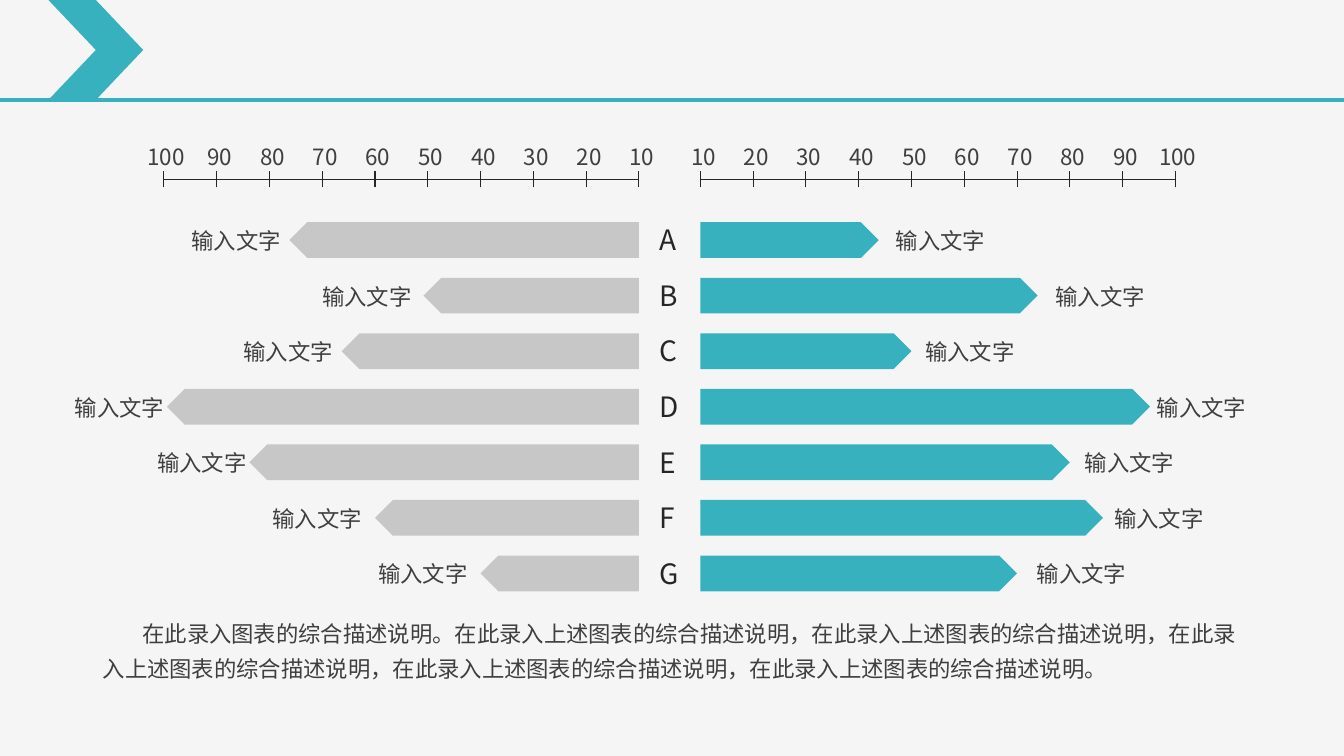
"""Build a slide with a two-sided bar comparison on mirrored scales."""
from dataclasses import dataclass

from lxml import etree
from pptx import Presentation
from pptx.dml.color import RGBColor
from pptx.enum.shapes import MSO_CONNECTOR, MSO_SHAPE
from pptx.enum.text import MSO_AUTO_SIZE
from pptx.oxml.ns import qn
from pptx.shapes.autoshape import Shape
from pptx.shapes.shapetree import GroupShapes, SlideShapes
from pptx.slide import Slide
from pptx.text.text import _Paragraph
from pptx.util import Cm, Pt

CHEVRON = MSO_SHAPE.CHEVRON
PENTAGON = MSO_SHAPE.PENTAGON
STRAIGHT = MSO_CONNECTOR.STRAIGHT
GROW = MSO_AUTO_SIZE.SHAPE_TO_FIT_TEXT


@dataclass(frozen=True)
class Theme:
    background: str = "F5F5F5"
    accent: str = "38B1BF"
    muted: str = "C7C7C7"
    ink: str = "262626"
    text: str = "3F3F3F"
    font: str = "Noto Sans CJK SC"
    text_size: float = 16
    letter_size: float = 20
    header_line: float = 2.25
    axis_line: float = 0.75


@dataclass(frozen=True)
class Bar:
    value: float
    label_gap: float


@dataclass(frozen=True)
class Row:
    letter: str
    letter_width: float
    left: Bar
    right: Bar


@dataclass(frozen=True)
class Side:
    origin: float
    direction: int
    color: str

    def x(self, value: float) -> float:
        """Return the horizontal position of a scale value."""
        return self.origin + self.direction * (value - 10) / 10 * TICK_STEP


THEME = Theme()
SLIDE_WIDTH, SLIDE_HEIGHT = 33.87, 19.05
HEADER_HEIGHT = 2.52
TICK_STEP = 1.33
AXIS_TOP, TICK_HALF = 4.52, 0.2
SCALE_TOP, SCALE_SHIFT = 3.48, 0.1
ROW_TOP, ROW_STEP, BAR_HEIGHT = 5.6, 1.4, 0.9
LETTER_LEFT, LETTER_RISE = 16.36, 0.11
LABEL_WIDTH, LABEL_HEIGHT, LETTER_HEIGHT = 2.8, 0.94, 1.11
LABEL = "输入文字"
SUMMARY = (
    "在此录入图表的综合描述说明。在此录入上述图表的综合描述说明，"
    "在此录入上述图表的综合描述说明，在此录入上述图表的综合描述说明，"
    "在此录入上述图表的综合描述说明，在此录入上述图表的综合描述说明。"
)
LEFT = Side(16.1, -1, THEME.muted)
RIGHT = Side(17.65, 1, THEME.accent)
ROWS = (
    Row("A", 1.02, Bar(76.2, -0.08), Bar(43.8, 0.18)),
    Row("B", 0.97, Bar(50.8, 0), Bar(73.9, 0.2)),
    Row("C", 0.99, Bar(66.3, -0.08), Bar(50, 0.1)),
    Row("D", 1.07, Bar(99.4, -0.23), Bar(95.2, -0.08)),
    Row("E", 0.91, Bar(83.8, -0.23), Bar(80, 0.13)),
    Row("F", 0.89, Bar(60, 0.03), Bar(86.3, 0.03)),
    Row("G", 1.04, Bar(40, 0.03), Bar(70, 0.25)),
)


def add_line(shapes: SlideShapes | GroupShapes, start: tuple[float, float],
             end: tuple[float, float], color: str, width: float) -> None:
    """Draw a straight line without a shadow."""
    line = shapes.add_connector(STRAIGHT, *map(Cm, start + end))
    line.line.color.rgb = RGBColor.from_string(color)
    line.line.width = Pt(width)
    etree.SubElement(line._element.spPr, qn("a:effectLst"))


def add_block(slide: Slide, kind: int, box: tuple[float, ...], color: str) -> Shape:
    """Draw a flat filled preset shape."""
    block = slide.shapes.add_shape(kind, *map(Cm, box))
    block.shadow.inherit = False
    block.fill.solid()
    block.fill.fore_color.rgb = RGBColor.from_string(color)
    block.line.fill.background()
    return block


def add_text(slide: Slide, text: str, box: tuple[float, ...], wrap: bool = False,
             size: float = THEME.text_size, color: str = THEME.text) -> _Paragraph:
    """Add a one-paragraph text box and return its paragraph."""
    frame = slide.shapes.add_textbox(*map(Cm, box)).text_frame
    for name, value in {"word_wrap": wrap, "auto_size": GROW}.items():
        setattr(frame, name, value)
    paragraph = frame.paragraphs[0]
    run = paragraph.add_run()
    run.text = text
    for name, value in {"name": THEME.font, "size": Pt(size)}.items():
        setattr(run.font, name, value)
    run.font.color.rgb = RGBColor.from_string(color)
    east_asian = etree.SubElement(run._r.get_or_add_rPr(), qn("a:ea"))
    east_asian.set("typeface", THEME.font)
    return paragraph


def draw_header(slide: Slide) -> None:
    """Draw the rule and the chevron along the top."""
    add_line(slide.shapes, (0, HEADER_HEIGHT), (SLIDE_WIDTH, HEADER_HEIGHT),
             THEME.accent, THEME.header_line)
    add_block(slide, CHEVRON, (1.22, 0, 2.39, HEADER_HEIGHT), THEME.accent)


def draw_scale(slide: Slide, side: Side) -> None:
    """Draw one axis with its ticks and numbers."""
    axis = slide.shapes.add_group_shape().shapes
    add_line(axis, (side.x(10), AXIS_TOP), (side.x(100), AXIS_TOP),
             THEME.ink, THEME.axis_line)
    for value in range(10, 101, 10):
        x = side.x(value)
        add_line(axis, (x, AXIS_TOP + TICK_HALF), (x, AXIS_TOP - TICK_HALF),
                 THEME.ink, THEME.axis_line)
        width = 1.52 if value == 100 else 1.17
        add_text(slide, str(value),
                 (x + SCALE_SHIFT - width / 2, SCALE_TOP, width, LABEL_HEIGHT))


def draw_bar(slide: Slide, side: Side, bar: Bar, top: float) -> None:
    """Draw one pointed bar and the label beyond its tip."""
    tip = side.x(bar.value)
    block = add_block(slide, PENTAGON, (min(tip, side.origin), top,
                      abs(tip - side.origin), BAR_HEIGHT), side.color)
    label_left = tip + side.direction * bar.label_gap
    if side.direction < 0:
        block._element.spPr.get_or_add_xfrm().set("flipH", "1")
        label_left -= LABEL_WIDTH
    add_text(slide, LABEL, (label_left, top, LABEL_WIDTH, LABEL_HEIGHT))


def draw_summary(slide: Slide) -> None:
    """Add the indented description under the bars."""
    paragraph = add_text(slide, SUMMARY, (2.34, 15.29, 29.21, 1.96), wrap=True)
    paragraph.line_spacing = 1.3
    paragraph._p.get_or_add_pPr().set("indent", str(Cm(1)))


def main() -> None:
    """Build and save the slide."""
    deck = Presentation()
    for name, value in {"slide_width": SLIDE_WIDTH, "slide_height": SLIDE_HEIGHT}.items():
        setattr(deck, name, Cm(value))
    slide = deck.slides.add_slide(deck.slide_layouts[6])
    slide.background.fill.solid()
    slide.background.fill.fore_color.rgb = RGBColor.from_string(THEME.background)
    draw_header(slide)
    for side in (LEFT, RIGHT):
        draw_scale(slide, side)
    for index, row in enumerate(ROWS):
        top = ROW_TOP + index * ROW_STEP
        draw_bar(slide, LEFT, row.left, top)
        draw_bar(slide, RIGHT, row.right, top)
        add_text(slide, row.letter,
                 (LETTER_LEFT, top - LETTER_RISE, row.letter_width, LETTER_HEIGHT),
                 size=THEME.letter_size, color=THEME.ink)
    draw_summary(slide)
    deck.save("out.pptx")


if __name__ == "__main__":
    main()
